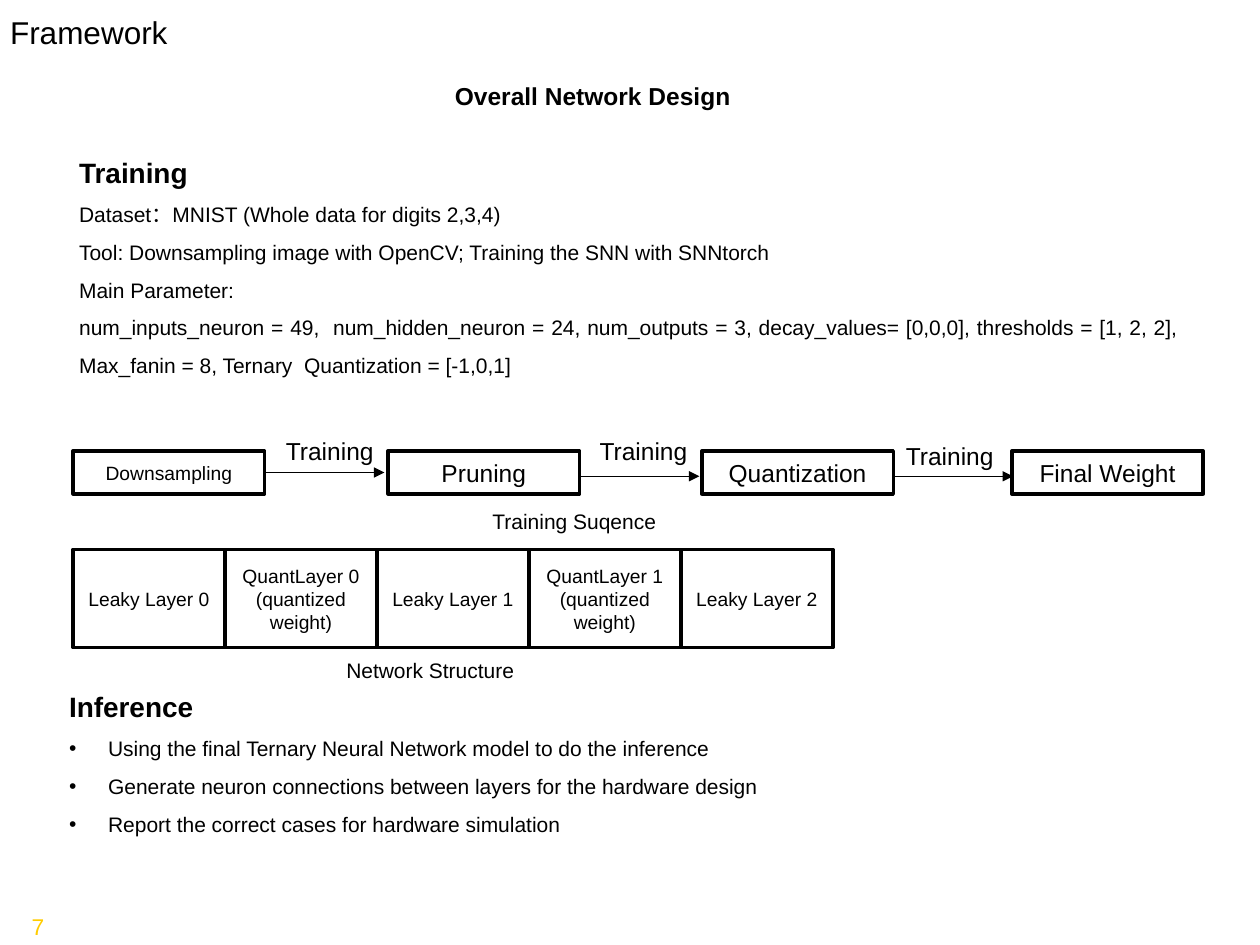
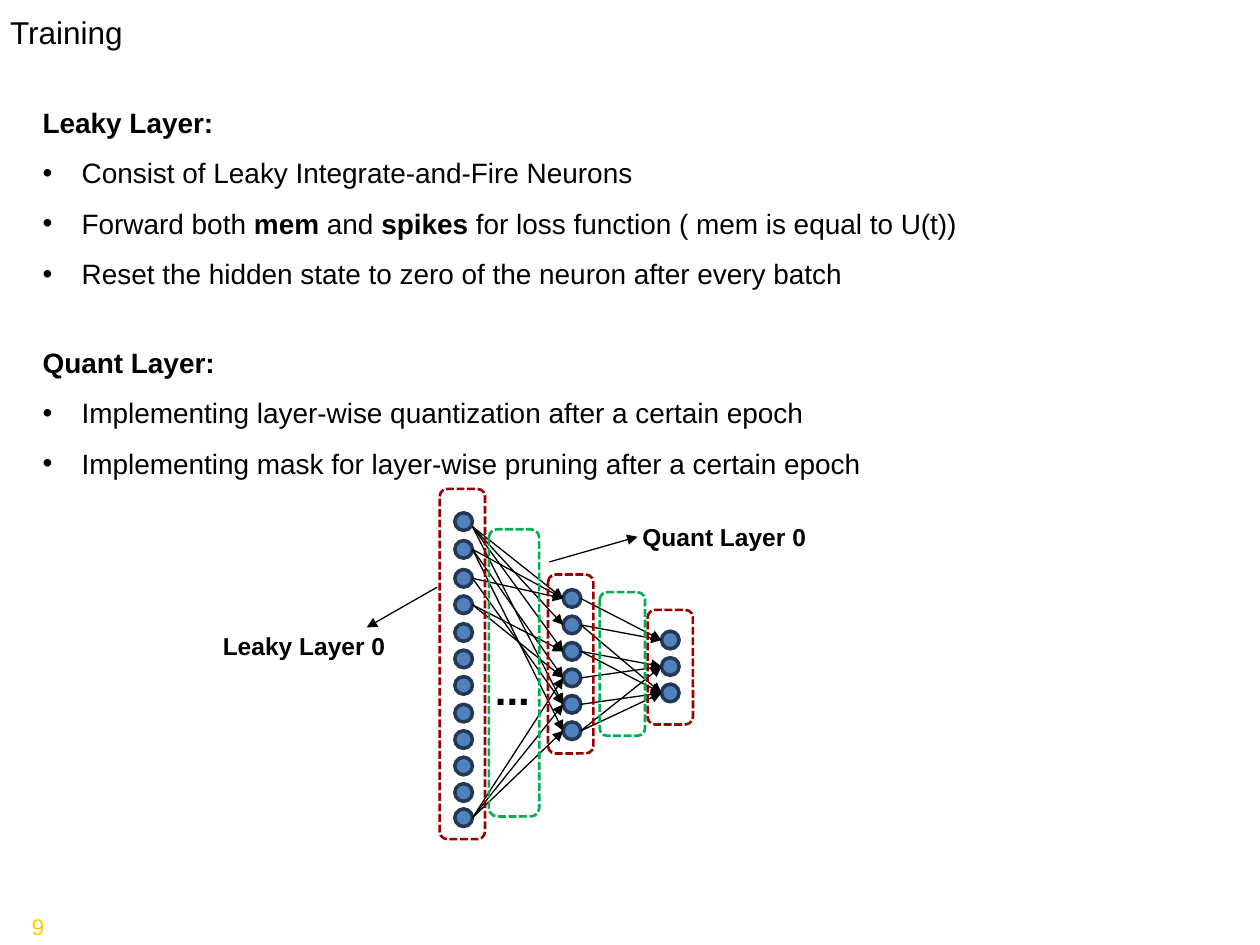
from lxml.etree import SubElement
from pptx import Presentation
from pptx.dml.color import RGBColor
from pptx.enum.dml import MSO_LINE
from pptx.enum.shapes import MSO_CONNECTOR as Connector, MSO_SHAPE as Preset
from pptx.enum.text import MSO_ANCHOR as Anchor, MSO_AUTO_SIZE as AutoSize, PP_ALIGN as Align
from pptx.oxml.ns import qn
from pptx.util import Emu, Pt

# Shared style: 100 px to the inch
EMU_PER_PX = 9144
SLIDE_SIZE = (1000, 750)
FONT = "Arial"
BLACK, WHITE, YELLOW = "000000", "FFFFFF", "FFCC00"
NEURON_FILL, NEURON_LINE = "4F81BD", "233953"
DARK_RED, GREEN = "990000", "00B050"
INSETS = (10, 5, 10, 5)
BULLET_INDENT = 31

# Framework slide: "# " marks a heading, "• " a bullet, ** bold words
TRAINING_LINES = [
    "# Training",
    "Dataset：MNIST (Whole data for digits 2,3,4)",
    "Tool: Downsampling image with OpenCV; Training the SNN with SNNtorch",
    "Main Parameter:",
    "num_inputs_neuron = 49,  num_hidden_neuron = 24, num_outputs = 3, "
    "decay_values= [0,0,0], thresholds = [1, 2, 2], Max_fanin = 8, "
    "Ternary  Quantization = [-1,0,1]",
]
INFERENCE_LINES = [
    "# Inference",
    "• Using the final Ternary Neural Network model to do the inference",
    "• Generate neuron connections between layers for the hardware design",
    "• Report the correct cases for hardware simulation",
]
STAGES = [("Downsampling", 58, 11), ("Pruning", 308, 14),
          ("Quantization", 557, 14), ("Final Weight", 803, 14)]
STAGE_TOP, STAGE_WIDTH, STAGE_HEIGHT = 358, 152, 34
STAGE_ARROWS = [(375, 217, 341), (378, 466, 341), (378, 709, 345)]  # y, label left, label top
LAYERS = [["Leaky Layer 0"], ["QuantLayer 0", "(quantized weight)"], ["Leaky Layer 1"],
          ["QuantLayer 1", "(quantized weight)"], ["Leaky Layer 2"]]
LAYER_ROW = (58, 436, 603, 78)
CAPTIONS = [("Network Structure", (265, 508, 157, 37)),
            ("Training Suqence", (381, 390, 157, 37))]

# Training slide
LEAKY_LINES = [
    "# Leaky Layer:",
    "• Consist of Leaky Integrate-and-Fire Neurons",
    "• Forward both **mem** and **spikes** for loss function ( mem is equal to U(t))",
    "• Reset the hidden state to zero of the neuron after every batch",
]
QUANT_LINES = [
    "# Quant Layer:",
    "• Implementing layer-wise quantization after a certain epoch",
    "• Implementing mask for layer-wise pruning after a certain epoch",
]
NEURON_SIZE = 14
NEURON_COLUMNS = [  # left, tops
    (361, [407, 429, 452, 473, 495, 516, 537, 559, 580, 601, 622, 642]),
    (447, [468 + 21 * row for row in range(6)]),
    (525, [501 + 21 * row for row in range(3)]),
]
SYNAPSES = [  # per gap between columns: source neuron -> target neurons
    {0: [0, 1, 2, 4], 1: [0, 3, 5], 2: [0, 4], 3: [2, 3], 11: [5, 4, 3]},
    {0: [0], 1: [0, 2], 2: [1, 2], 3: [1], 4: [2], 5: [2, 1]},
]
START_DROP = {(0, 0): 4}  # the top input neuron sends from its lower right
LAYER_FRAMES = [
    ((349, 388, 36, 278), DARK_RED), ((435, 456, 36, 142), DARK_RED),
    ((514, 484, 36, 91), DARK_RED),
    ((388, 420, 40, 228), GREEN), ((476, 470, 36, 114), GREEN),
]
CALLOUTS = [  # text, label box, arrow start, arrow end
    ("Leaky Layer 0", (167, 496, 153, 34), (347, 466), (291, 498)),
    ("Quant Layer 0", (500, 409, 153, 34), (436, 446), (506, 426)),
]


def px(value):
    return Emu(round(value * EMU_PER_PX))


def color(hex_string):
    return RGBColor.from_string(hex_string)


def style_font(font, size, fill=BLACK, bold=False):
    font.name, font.size, font.bold = FONT, Pt(size), bold
    font.color.rgb = color(fill)


def set_frame(frame, anchor=Anchor.TOP, insets=INSETS):
    frame.word_wrap = True
    frame.auto_size = AutoSize.NONE
    frame.vertical_anchor = anchor
    frame.margin_left, frame.margin_top, frame.margin_right, frame.margin_bottom = map(px, insets)


def fill_frame(frame, lines, size, align=Align.LEFT, fill=BLACK, bold=False):
    for index, line in enumerate(lines):
        paragraph = frame.paragraphs[0] if index == 0 else frame.add_paragraph()
        paragraph.text, paragraph.alignment = line, align
        style_font(paragraph.font, size, fill, bold)


def add_label(slide, text, box, size, anchor=Anchor.TOP, insets=INSETS, **style):
    frame = slide.shapes.add_textbox(*map(px, box)).text_frame
    set_frame(frame, anchor, insets)
    fill_frame(frame, [text], size, **style)
    return frame


def add_bullet(paragraph):
    properties = paragraph._p.get_or_add_pPr()
    properties.set("marL", str(px(BULLET_INDENT)))
    properties.set("indent", str(-px(BULLET_INDENT)))
    bullet_color = SubElement(properties, qn("a:buClr"))
    SubElement(bullet_color, qn("a:srgbClr"), val=BLACK)
    SubElement(properties, qn("a:buFont"), typeface=FONT)
    SubElement(properties, qn("a:buChar"), char="•")


def add_body(slide, lines, box, size, heading_size=16):
    frame = slide.shapes.add_textbox(*map(px, box)).text_frame
    set_frame(frame, Anchor.MIDDLE)
    for index, line in enumerate(lines):
        paragraph = frame.paragraphs[0] if index == 0 else frame.add_paragraph()
        paragraph.alignment, paragraph.line_spacing = Align.JUSTIFY, 1.5
        heading = line.startswith("# ")
        if line.startswith("• "):
            add_bullet(paragraph)
        style_font(paragraph.font, heading_size if heading else size, bold=heading)
        pieces = line.removeprefix("# ").removeprefix("• ").split("**")
        for number, piece in enumerate(pieces):
            run = paragraph.add_run()
            run.text = piece
            if number % 2:
                run.font.bold = True


def add_preset(slide, preset, box, line, width, fill=None):
    shape = slide.shapes.add_shape(preset, *map(px, box))
    shape.shadow.inherit = False
    shape.line.color.rgb, shape.line.width = color(line), Pt(width)
    if fill:
        shape.fill.solid()
        shape.fill.fore_color.rgb = color(fill)
    else:
        shape.fill.background()
    return shape


def add_text_box_shape(slide, lines, box, size):
    shape = add_preset(slide, Preset.RECTANGLE, box, BLACK, 2, WHITE)
    set_frame(shape.text_frame, Anchor.MIDDLE)
    fill_frame(shape.text_frame, lines, size, Align.CENTER)


def add_arrow(slide, start, end):
    arrow = slide.shapes.add_connector(Connector.STRAIGHT, *map(px, (*start, *end)))
    arrow.line.color.rgb, arrow.line.width = color(BLACK), Pt(0.75)
    SubElement(arrow.line._get_or_add_ln(), qn("a:tailEnd"), type="triangle")
    SubElement(arrow._element.spPr, qn("a:effectLst"))


def add_slide(presentation, title, number):
    slide = presentation.slides.add_slide(presentation.slide_layouts[5])
    holder = slide.shapes.title
    holder.left, holder.top, holder.width, holder.height = map(px, (0, 0, 1000, 47))
    set_frame(holder.text_frame, Anchor.MIDDLE, (8, 4, 0, 0))
    fill_frame(holder.text_frame, [title], 18)
    add_label(slide, number, (2, 714, 43, 42), 13, insets=(10, 10, 10, 10),
              align=Align.RIGHT, fill=YELLOW)
    return slide


def build_framework(presentation):
    slide = add_slide(presentation, "Framework", "7")
    add_label(slide, "Overall Network Design", (361, 60, 259, 32), 14, Anchor.MIDDLE,
              insets=(0, 0, 0, 0), bold=True)
    add_body(slide, TRAINING_LINES, (53, 106, 893, 198), 12)

    # Training sequence
    for text, left, size in STAGES:
        add_text_box_shape(slide, [text], (left, STAGE_TOP, STAGE_WIDTH, STAGE_HEIGHT), size)
    for (_, left, _), (y, label_left, label_top) in zip(STAGES, STAGE_ARROWS):
        start = left + STAGE_WIDTH
        add_arrow(slide, (start, y), (start + 95, y))
        add_label(slide, "Training", (label_left, label_top, 91, 34), 14)

    # Network structure
    left, top, width, height = LAYER_ROW
    layer_width = width / len(LAYERS)
    for index, lines in enumerate(LAYERS):
        add_text_box_shape(slide, lines, (left + index * layer_width, top, layer_width, height), 11)
    for text, box in CAPTIONS:
        add_body(slide, [text], box, 12)
    add_body(slide, INFERENCE_LINES, (45, 530, 893, 138), 12)


def build_training(presentation):
    slide = add_slide(presentation, "Training", "9")
    add_body(slide, LEAKY_LINES, (24, 67, 850, 167), 16)
    add_body(slide, QUANT_LINES, (24, 258, 863, 126), 16)

    # Neurons and their connections
    for left, tops in NEURON_COLUMNS:
        for top in tops:
            add_preset(slide, Preset.OVAL, (left, top, NEURON_SIZE, NEURON_SIZE),
                       NEURON_LINE, 2, NEURON_FILL)
    half = NEURON_SIZE / 2
    for gap, links in enumerate(SYNAPSES):
        (source_left, source_tops), (target_left, target_tops) = NEURON_COLUMNS[gap:gap + 2]
        for source, targets in links.items():
            start_y = source_tops[source] + half + START_DROP.get((gap, source), 0)
            for target in targets:
                add_arrow(slide, (source_left + NEURON_SIZE, start_y),
                          (target_left, target_tops[target] + half))
    add_body(slide, ["# ..."], (383, 505, 61, 63), 24, heading_size=24)

    # Layer frames and callouts
    for box, line in LAYER_FRAMES:
        frame = add_preset(slide, Preset.ROUNDED_RECTANGLE, box, line, 1.5)
        frame.line.dash_style = MSO_LINE.SQUARE_DOT
    for text, box, start, end in CALLOUTS:
        add_arrow(slide, start, end)
        add_label(slide, text, box, 14, bold=True)


def main():
    presentation = Presentation()
    presentation.slide_width, presentation.slide_height = map(px, SLIDE_SIZE)
    build_framework(presentation)
    build_training(presentation)
    presentation.save("out.pptx")


if __name__ == "__main__":
    main()
